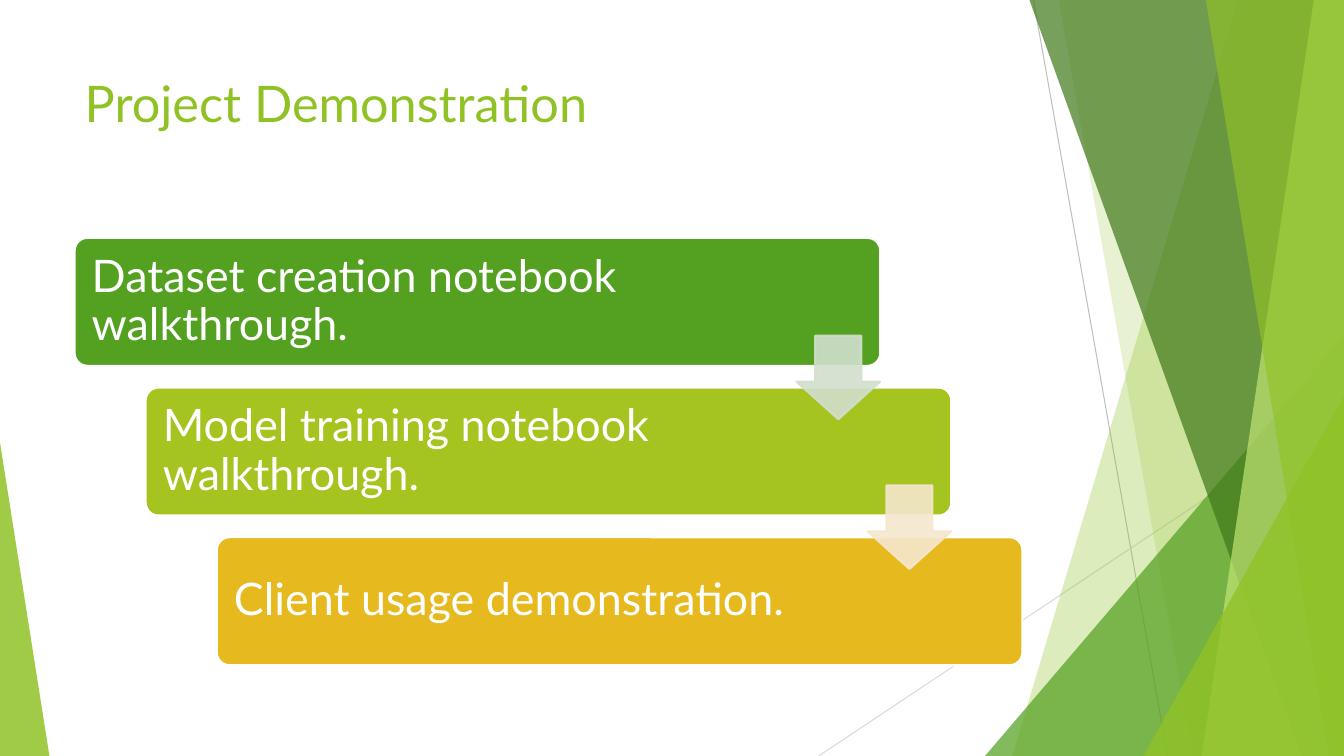
from dataclasses import dataclass

import pptx
import pptx.dml.color
import pptx.enum.shapes
import pptx.enum.text
import pptx.oxml
import pptx.oxml.ns
import pptx.util
from pptx.dml.color import RGBColor
from pptx.enum.shapes import MSO_SHAPE
from pptx.util import Inches

WHITE = RGBColor(0xFF, 0xFF, 0xFF)
LIME = RGBColor(0x90, 0xC2, 0x26)
GREEN = RGBColor(0x54, 0xA0, 0x21)
FOREST = RGBColor(0x3F, 0x78, 0x19)
PALE_LIME = RGBColor(0xC0, 0xE4, 0x74)
OLIVE = RGBColor(0xA5, 0xC4, 0x1F)
GOLD = RGBColor(0xE6, 0xB9, 0x1E)
PALE_GREEN = RGBColor(0xD1, 0xDF, 0xCD)
CREAM = RGBColor(0xF5, 0xE7, 0xCD)
GREY = RGBColor(0xBF, 0xBF, 0xBF)
LIGHT_GREY = RGBColor(0xD9, 0xD9, 0xD9)

FONT = "Lato"
SLIDE_W, SLIDE_H = 13.33, 7.5
LEFT, CONTENT_W = 0.74, 9.4
STEP_TOP, STEPS_H = 2.36, 4.24
STEP_W, STEP_H = 7.99, 1.27
ARROW_LEFT, ARROW_TOP, ARROW_SIZE = 7.9, 3.33, 0.83
LABEL_GAP = 0.04


@dataclass
class Ray:
    start: tuple[float, float]
    end: tuple[float, float]
    color: RGBColor


@dataclass
class Facet:
    top_x: float
    bottom_x: float
    color: RGBColor
    opacity: int


@dataclass
class Corner:
    left: float
    top: float
    width: float
    peak: float
    color: RGBColor
    opacity: int


@dataclass
class Step:
    text: str
    label_w: float
    color: RGBColor


RAYS = [
    Ray((10.25, 0), (11.58, SLIDE_H), GREY),
    Ray((SLIDE_W, 4.03), (8.12, SLIDE_H), LIGHT_GREY),
]
DECOR = [
    Facet(12.28, 10.04, LIME, 30),
    Facet(10.5, 11.83, LIME, 20),
    Corner(9.77, 3.33, 3.56, 1, GREEN, 72),
    Facet(10.21, 12.91, FOREST, 70),
    Facet(13.03, 11.92, PALE_LIME, 70),
    Facet(11.96, 13.18, LIME, 65),
    Corner(11.34, 3.93, 1.99, 1, LIME, 80),
    Corner(0, 4.39, 0.49, 0, LIME, 85),
]
STEPS = [
    Step("Dataset creation notebook walkthrough.", 6.62, GREEN),
    Step("Model training notebook walkthrough.", 6.38, OLIVE),
    Step("Client usage demonstration.", 6.38, GOLD),
]
ARROW_COLORS = [PALE_GREEN, CREAM]


def set_attrs(obj, values: dict) -> None:
    for name, value in values.items():
        setattr(obj, name, value)


def paint(sp, color: RGBColor, opacity: int = 100, line: RGBColor | None = None) -> None:
    sp.shadow.inherit = False
    sp.fill.solid()
    sp.fill.fore_color.rgb = color
    if line is None:
        sp.line.fill.background()
    else:
        sp.line.color.rgb = line
        sp.line.width = pptx.util.Pt(1.5)
    if opacity < 100:
        for clr in sp._element.spPr.iter(pptx.oxml.ns.qn("a:srgbClr")):
            alpha = pptx.oxml.parse_xml(
                f'<a:alpha {pptx.oxml.ns.nsdecls("a")} val="{opacity * 1000}"/>')
            clr.append(alpha)


def add_preset(s, kind: MSO_SHAPE, box: tuple, adjustments: list[float]):
    sp = s.shapes.add_shape(kind, *map(Inches, box))
    for i, value in enumerate(adjustments):
        sp.adjustments[i] = value
    return sp


def add_ray(s, ray: Ray) -> None:
    cx = s.shapes.add_connector(
        pptx.enum.shapes.MSO_CONNECTOR.STRAIGHT, *map(Inches, ray.start + ray.end))
    set_attrs(cx.line, {"width": pptx.util.Pt(0.75)})
    cx.line.color.rgb = ray.color
    cx._element.spPr.append(
        pptx.oxml.parse_xml(f'<a:effectLst {pptx.oxml.ns.nsdecls("a")}/>'))


def add_facet(s, facet: Facet) -> None:
    fb = s.shapes.build_freeform(Inches(facet.top_x), 0)
    corners = [(SLIDE_W, 0), (SLIDE_W, SLIDE_H), (facet.bottom_x, SLIDE_H)]
    fb.add_line_segments([(Inches(x), Inches(y)) for x, y in corners], close=True)
    paint(fb.convert_to_shape(), facet.color, facet.opacity)


def add_corner(s, corner: Corner) -> None:
    box = (corner.left, corner.top, corner.width, SLIDE_H - corner.top)
    sp = add_preset(s, MSO_SHAPE.ISOSCELES_TRIANGLE, box, [corner.peak])
    paint(sp, corner.color, corner.opacity)


def write(tf, text: str, size: int, color: RGBColor, frame: dict, para: dict) -> None:
    set_attrs(tf, {"word_wrap": True, **frame})
    p = tf.paragraphs[0]
    set_attrs(p, {"alignment": pptx.enum.text.PP_ALIGN.LEFT, **para})
    r = p.add_run()
    r.text = text
    set_attrs(r.font, {"name": FONT, "size": pptx.util.Pt(size)})
    r.font.color.rgb = color


def add_step(s, step: Step, x: float, y: float) -> None:
    sp = add_preset(s, MSO_SHAPE.ROUNDED_RECTANGLE, (x, y, STEP_W, STEP_H), [0.1])
    paint(sp, step.color, line=WHITE)
    box = (x + LABEL_GAP, y + LABEL_GAP, step.label_w, STEP_H - 2 * LABEL_GAP)
    label = s.shapes.add_textbox(*map(Inches, box))
    frame = {f"margin_{side}": Inches(0.13) for side in ("left", "top", "right", "bottom")}
    frame["vertical_anchor"] = pptx.enum.text.MSO_ANCHOR.MIDDLE
    write(label.text_frame, step.text, 32, WHITE, frame, {"line_spacing": 0.9})


def add_title(s, text: str) -> None:
    sp = s.shapes.title
    set_attrs(sp, {"left": Inches(LEFT), "top": Inches(0.67),
                   "width": Inches(CONTENT_W), "height": Inches(1.44)})
    write(sp.text_frame, text, 36, LIME,
          {"vertical_anchor": pptx.enum.text.MSO_ANCHOR.TOP}, {})


def main() -> None:
    prs = pptx.Presentation()
    set_attrs(prs, {"slide_width": Inches(SLIDE_W), "slide_height": Inches(SLIDE_H)})
    s = prs.slides.add_slide(prs.slide_layouts[5])
    add_title(s, "Project Demonstration")
    for ray in RAYS:
        add_ray(s, ray)
    for part in DECOR:
        if isinstance(part, Facet):
            add_facet(s, part)
        else:
            add_corner(s, part)

    dx = (CONTENT_W - STEP_W) / (len(STEPS) - 1)
    dy = (STEPS_H - STEP_H) / (len(STEPS) - 1)
    for i, step in enumerate(STEPS):
        add_step(s, step, LEFT + i * dx, STEP_TOP + i * dy)
    for i, color in enumerate(ARROW_COLORS):
        box = (ARROW_LEFT + i * dx, ARROW_TOP + i * dy, ARROW_SIZE, ARROW_SIZE)
        sp = add_preset(s, MSO_SHAPE.DOWN_ARROW, box, [0.55, 0.45])
        paint(sp, color, 90, line=color)
    prs.save("out.pptx")


if __name__ == "__main__":
    main()
